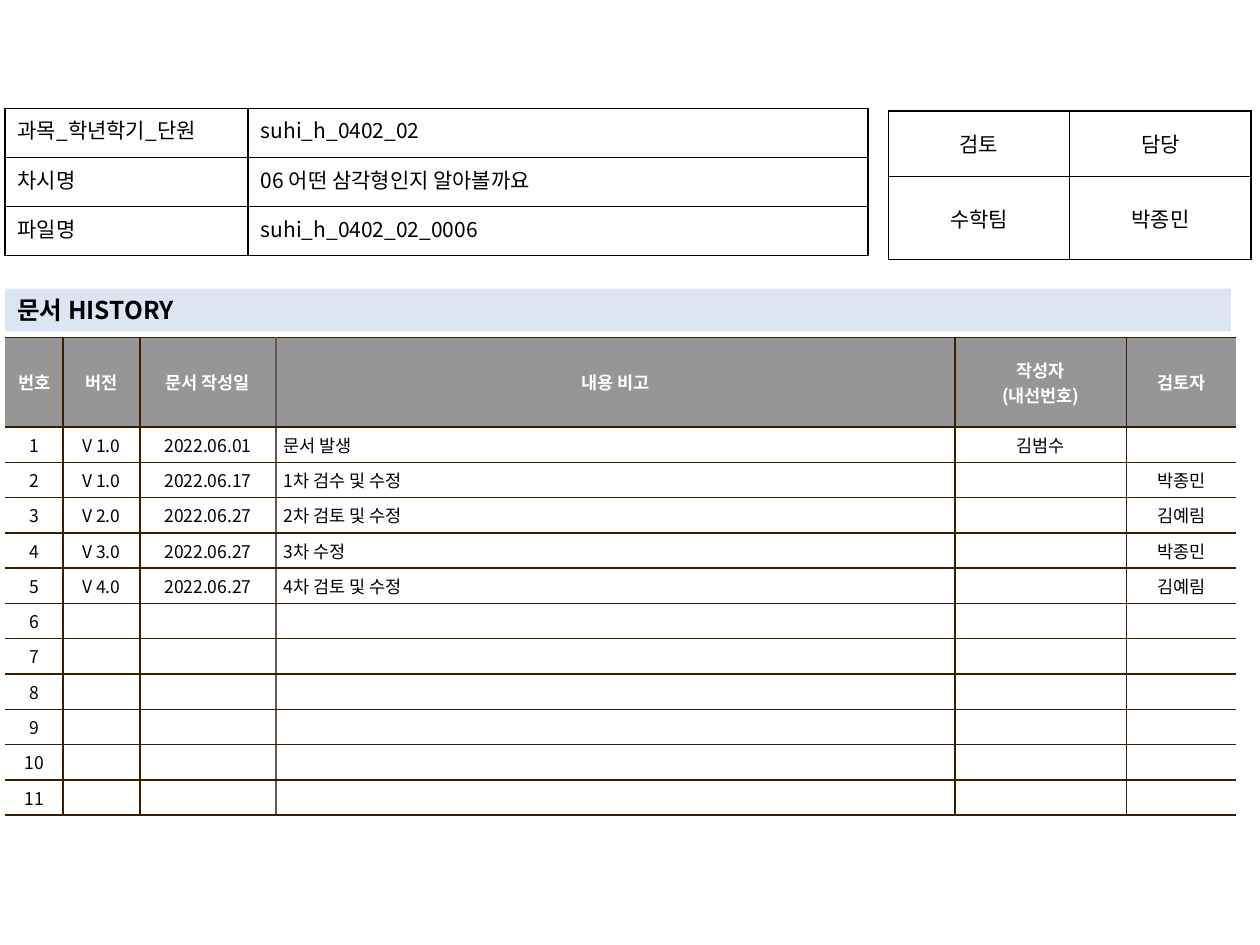
"""Build the document history slide with its info, approval and revision tables."""
from lxml import etree
from pptx import Presentation
from pptx.dml.color import RGBColor
from pptx.enum.shapes import MSO_SHAPE
from pptx.enum.text import MSO_ANCHOR, PP_ALIGN
from pptx.oxml.ns import qn
from pptx.util import Inches, Pt

RECTANGLE = MSO_SHAPE.RECTANGLE
TOP, MIDDLE = MSO_ANCHOR.TOP, MSO_ANCHOR.MIDDLE
LEFT, CENTER, JUSTIFY = PP_ALIGN.LEFT, PP_ALIGN.CENTER, PP_ALIGN.JUSTIFY

BLACK = RGBColor(0x00, 0x00, 0x00)
WHITE = RGBColor(0xFF, 0xFF, 0xFF)
GRAY = RGBColor(0x96, 0x96, 0x96)
PALE_BLUE = RGBColor(0xDC, 0xE6, 0xF2)
BROWN = RGBColor(0x36, 0x20, 0x00)
TAUPE = RGBColor(0x64, 0x5B, 0x4C)
FONT = "Noto Sans CJK KR"

INFO = [
    ("과목_학년학기_단원", "suhi_h_0402_02"),
    ("차시명", "06 어떤 삼각형인지 알아볼까요"),
    ("파일명", "suhi_h_0402_02_0006"),
]
APPROVAL = [("검토", "담당"), ("수학팀", "박종민")]
HEADING = "문서 HISTORY"
HEADERS = ("번호", "버전", "문서 작성일", "내용 비고", "작성자\n(내선번호)", "검토자")
REVISIONS = [
    ("V 1.0", "2022.06.01", "문서 발생", "김범수", ""),
    ("V 1.0", "2022.06.17", "1차 검수 및 수정", "", "박종민"),
    ("V 2.0", "2022.06.27", "2차 검토 및 수정", "", "김예림"),
    ("V 3.0", "2022.06.27", "3차 수정", "", "박종민"),
    ("V 4.0", "2022.06.27", "4차 검토 및 수정", "", "김예림"),
]
REVISION_ROWS = 11
NOTE_COLUMN = 3
MARGIN = 0.04


def add_text(frame, text, size, color, align, bold=False):
    for index, line in enumerate(text.split("\n")):
        para = frame.paragraphs[0] if index == 0 else frame.add_paragraph()
        para.alignment = align
        if not line:
            etree.SubElement(para._p, qn("a:endParaRPr"), sz=str(size * 100))
            continue
        span = para.add_run()
        span.text = line
        span.font.name, span.font.size = FONT, Pt(size)
        span.font.bold, span.font.color.rgb = bold, color
        east_asian = etree.SubElement(span.font._element, qn("a:ea"))
        east_asian.set("typeface", FONT)


def set_borders(cell, left, right, top, bottom):
    properties = cell._tc.get_or_add_tcPr()
    sides = {"a:lnL": left, "a:lnR": right, "a:lnT": top, "a:lnB": bottom}
    for index, (tag, color) in enumerate(sides.items()):
        line = etree.Element(qn(tag), w=str(Pt(1)))
        if color is None:
            etree.SubElement(line, qn("a:noFill"))
        else:
            fill = etree.SubElement(line, qn("a:solidFill"))
            etree.SubElement(fill, qn("a:srgbClr"), val=str(color))
        properties.insert(index, line)


def add_grid(page, left, top, columns, rows):
    frame = page.shapes.add_table(
        len(rows), len(columns), Inches(left), Inches(top),
        Inches(sum(columns)), Inches(sum(rows)))
    grid = frame.table
    grid.first_row = grid.horz_banding = False
    for column, width in zip(grid.columns, columns):
        column.width = Inches(width)
    for row, height in zip(grid.rows, rows):
        row.height = Inches(height)
    return grid


def add_plain_table(page, left, top, columns, rows, content, aligns, anchor):
    grid = add_grid(page, left, top, columns, rows)
    for r, texts in enumerate(content):
        for c, text in enumerate(texts):
            cell = grid.cell(r, c)
            cell.vertical_anchor = anchor
            add_text(cell.text_frame, text, 12, BLACK, aligns[c])
            cell.fill.background()
            set_borders(cell, BLACK, BLACK, BLACK, BLACK)


def add_history_table(page):
    columns = [0.46, 0.61, 1.08, 5.39, 1.36, 0.87]
    grid = add_grid(page, MARGIN, 2.68, columns, [0.71] + [0.25] * REVISION_ROWS)
    blanks = [("",) * 5] * (REVISION_ROWS - len(REVISIONS))
    numbered = [(str(n), *texts) for n, texts in enumerate(REVISIONS + blanks, 1)]
    verticals = [None, BROWN, BROWN, TAUPE, BROWN, BROWN, None]
    for r, texts in enumerate([HEADERS] + numbered):
        header = r == 0
        for c, text in enumerate(texts):
            cell = grid.cell(r, c)
            cell.vertical_anchor = MIDDLE
            cell.margin_left = cell.margin_right = Inches(0.06)
            cell.margin_top = cell.margin_bottom = Inches(0.04)
            note = c == NOTE_COLUMN and not header
            add_text(cell.text_frame, text, 10, WHITE if header else BLACK,
                     LEFT if note else CENTER, header)
            if note:
                indents = cell.text_frame.paragraphs[0]._p.get_or_add_pPr()
                indents.set("marL", str(Inches(0.19)))
                indents.set("indent", str(-Inches(0.19)))
            cell.fill.solid()
            cell.fill.fore_color.rgb = GRAY if header else WHITE
            set_borders(cell, verticals[c], verticals[c + 1], BROWN, BROWN)


def add_heading(page):
    box = page.shapes.add_shape(
        RECTANGLE, Inches(MARGIN), Inches(2.29), Inches(9.73), Inches(0.34))
    box.shadow.inherit = False
    box.fill.solid()
    box.fill.fore_color.rgb = PALE_BLUE
    box.line.fill.background()
    box.text_frame.word_wrap = True
    box.text_frame.vertical_anchor = MIDDLE
    add_text(box.text_frame, HEADING, 14, BLACK, LEFT, True)


def main():
    deck = Presentation()
    deck.slide_width, deck.slide_height = Inches(10), Inches(7.5)
    page = deck.slides.add_slide(deck.slide_layouts[6])
    add_history_table(page)
    add_plain_table(page, 7.05, 0.88, [1.44] * 2, [0.52, 0.66],
                    APPROVAL, (CENTER, CENTER), MIDDLE)
    add_heading(page)
    add_plain_table(page, MARGIN, 0.86, [1.93, 4.92], [0.39] * 3,
                    INFO, (JUSTIFY, LEFT), TOP)
    deck.save("out.pptx")


if __name__ == "__main__":
    main()
